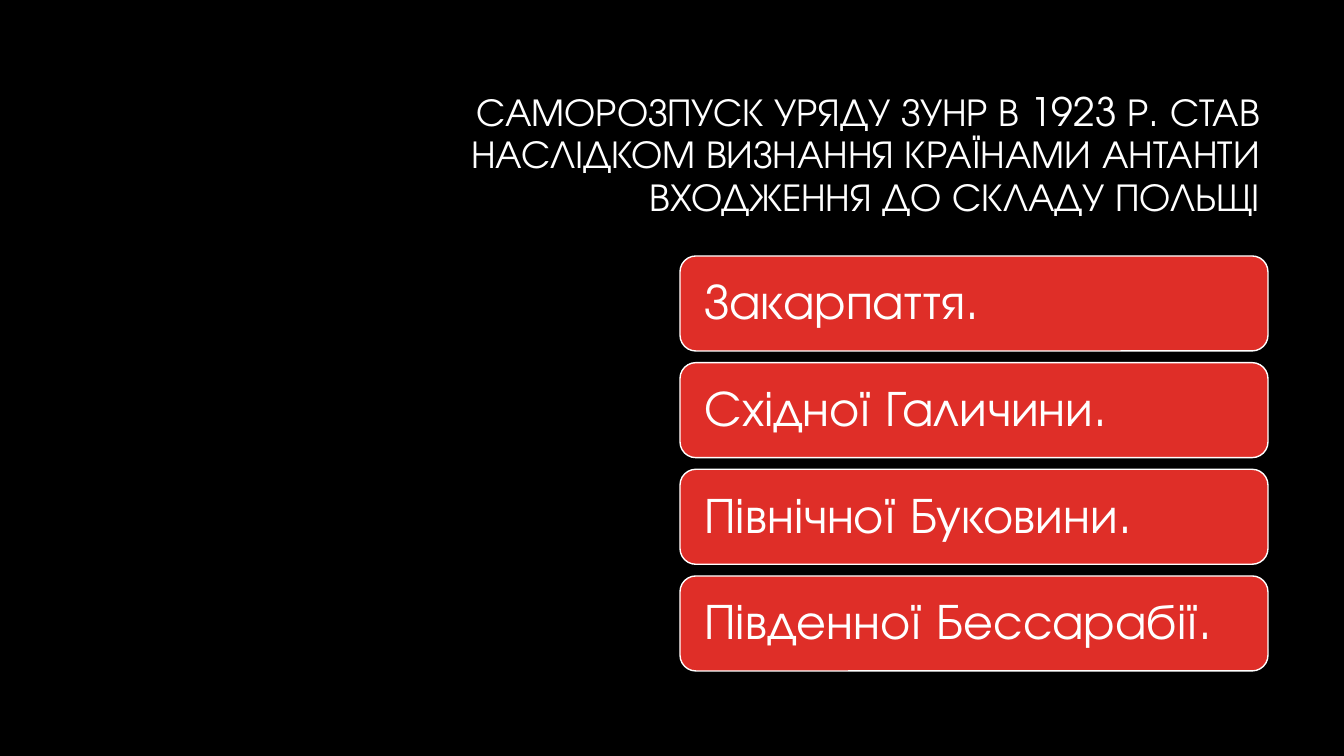
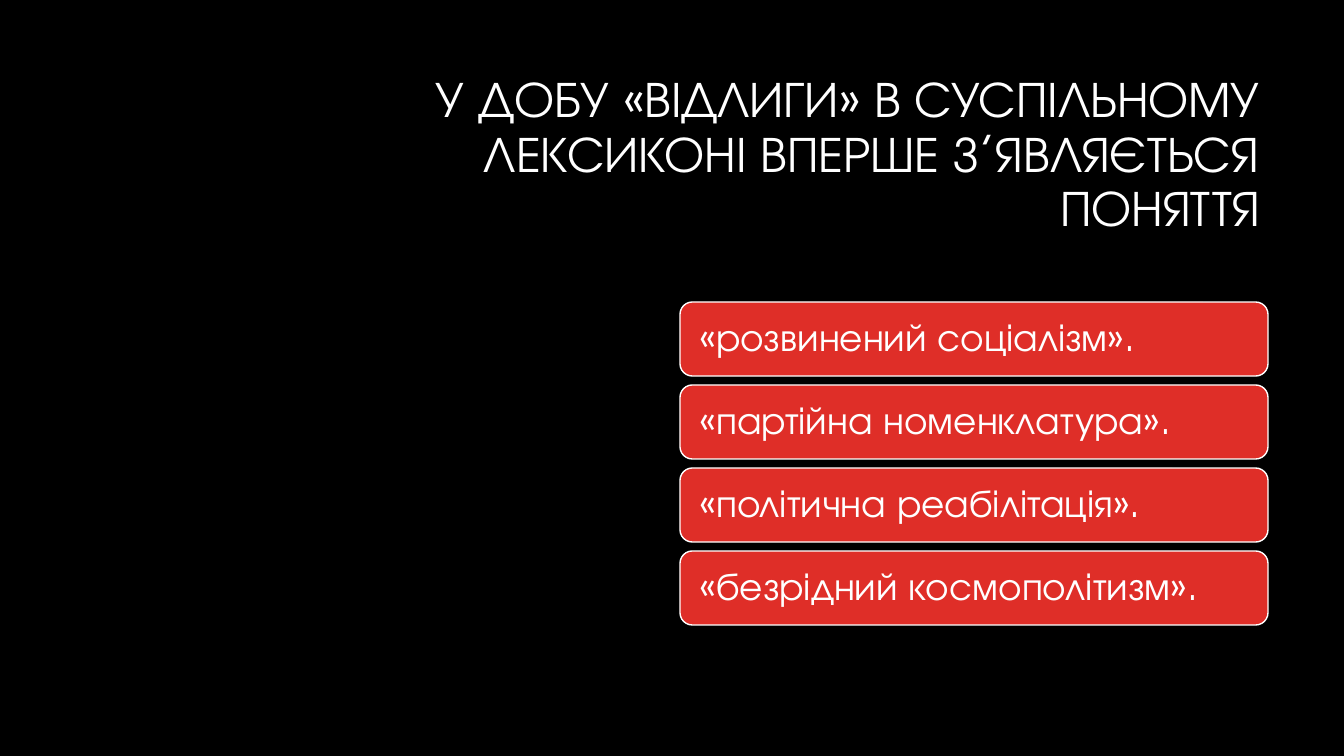
from pptx import Presentation
from pptx.dml.color import RGBColor
from pptx.enum.shapes import MSO_SHAPE as Shape
from pptx.enum.text import MSO_ANCHOR as Anchor, PP_ALIGN as Align
from pptx.util import Pt

WIDE, HIGH = 1344, 756
SCALE = 12192000 / WIDE

BLACK = RGBColor(0x00, 0x00, 0x00)
WHITE = RGBColor(0xFF, 0xFF, 0xFF)
RED = RGBColor(0xDF, 0x2E, 0x28)
FACE = "TeX Gyre Adventor"

TITLE = (320, 85, 950, 142)

SLIDES = [
    {
        "title": "САМОРОЗПУСК УРЯДУ ЗУНР В 1923 Р. СТАВ НАСЛІДКОМ ВИЗНАННЯ "
                 "КРАЇНАМИ АНТАНТИ ВХОДЖЕННЯ ДО СКЛАДУ ПОЛЬЩІ",
        "size": 28,
        "answers": ["Закарпаття.", "Східної Галичини.",
                    "Північної Буковини.", "Південної Бессарабії."],
        "box": (680, 256, 588, 415),
        "style": {"high": 95, "pad": 20, "size": 36},
    },
    {
        "title": "У ДОБУ «ВІДЛИГИ» В СУСПІЛЬНОМУ ЛЕКСИКОНІ ВПЕРШЕ "
                 "З’ЯВЛЯЄТЬСЯ ПОНЯТТЯ",
        "size": 36,
        "answers": ["«розвинений соціалізм».", "«партійна номенклатура».",
                    "«політична реабілітація».", "«безрідний космополітизм»."],
        "box": (680, 302, 588, 323),
        "style": {"high": 74, "pad": 16, "size": 28},
    },
]


def px(*values):
    """Turn pixel lengths into EMU."""
    return [round(value * SCALE) for value in values]


def write(shape, text, size, align, pad, rise):
    """Fill a shape with one middle-anchored paragraph."""
    frame = shape.text_frame
    side, edge = px(pad, rise)
    layout = {"word_wrap": True, "vertical_anchor": Anchor.MIDDLE,
              "margin_left": side, "margin_right": side,
              "margin_top": edge, "margin_bottom": edge}
    para = frame.paragraphs[0]
    para.text = text
    look = {"name": FACE, "size": Pt(size)}
    flow = {"alignment": align, "line_spacing": 0.9}
    for part, values in ((frame, layout), (para, flow), (para.font, look)):
        for name, value in values.items():
            setattr(part, name, value)
    para.font.color.rgb = WHITE


def add_title(slide, box, text, size):
    shape = slide.shapes.add_textbox(*px(*box))
    write(shape, text, size, Align.RIGHT, 10, 5)


def add_list(slide, box, answers, high, pad, size):
    """Spread equal answer bars over the height of the box."""
    left, top, wide, tall = box
    step = (tall - high) / (len(answers) - 1)
    for row, text in enumerate(answers):
        bar = slide.shapes.add_shape(
            Shape.ROUNDED_RECTANGLE, *px(left, top + row * step, wide, high))
        bar.shadow.inherit = False
        bar.fill.solid()
        bar.fill.fore_color.rgb = RED
        bar.line.color.rgb = WHITE
        bar.line.width = Pt(1)
        write(bar, text, size, Align.LEFT, pad, 0)


def main():
    deck = Presentation()
    deck.slide_width, deck.slide_height = px(WIDE, HIGH)
    back = deck.slide_master.background.fill
    back.solid()
    back.fore_color.rgb = BLACK
    for quiz in SLIDES:
        slide = deck.slides.add_slide(deck.slide_layouts[6])
        add_title(slide, TITLE, quiz["title"], quiz["size"])
        add_list(slide, quiz["box"], quiz["answers"], **quiz["style"])
    deck.save("out.pptx")


if __name__ == "__main__":
    main()
